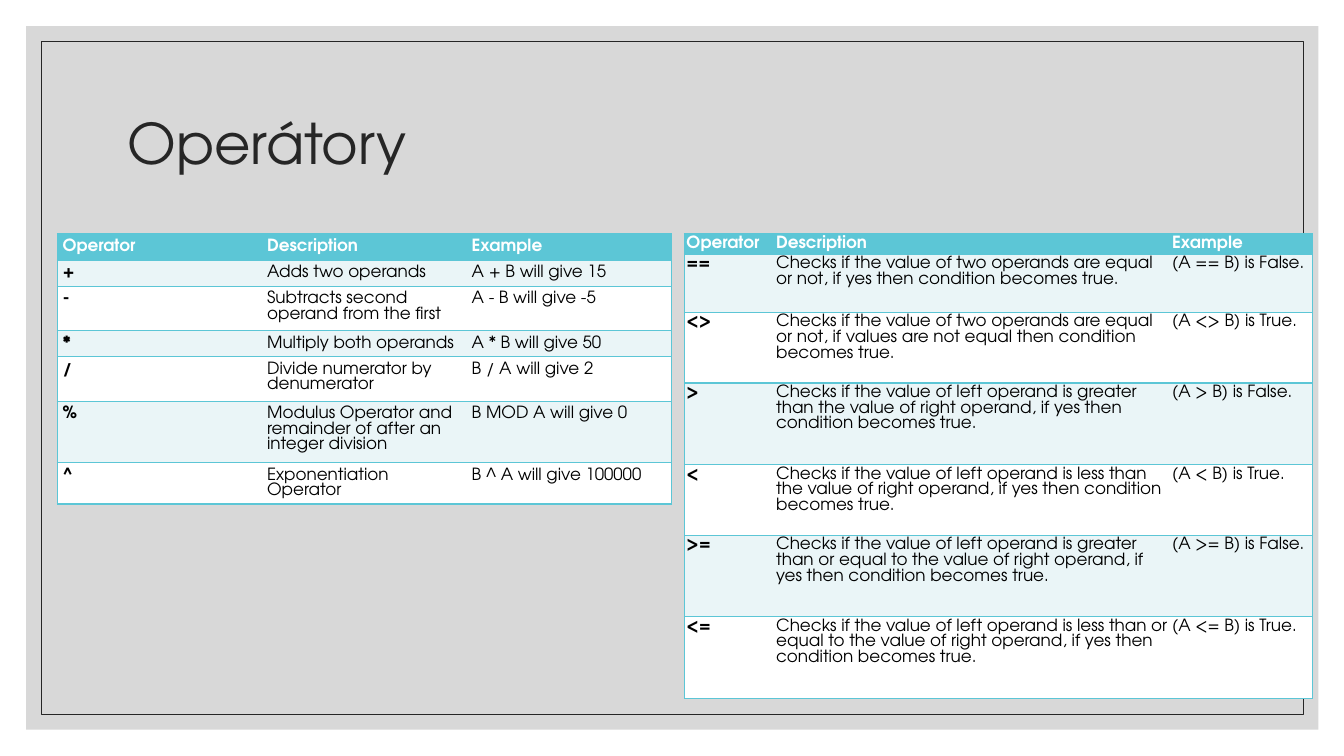
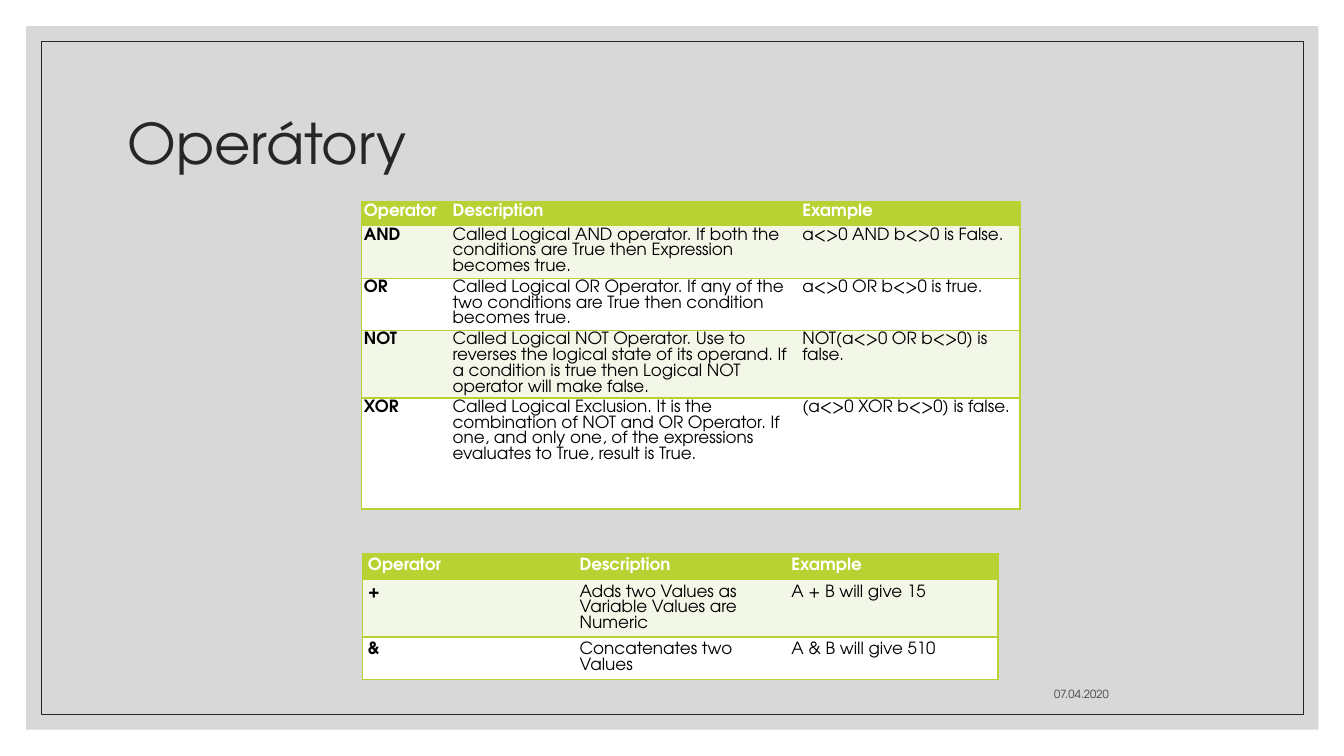
from dataclasses import dataclass
from lxml.etree import SubElement
from pptx import Presentation
from pptx.dml.color import RGBColor
from pptx.enum.shapes import MSO_SHAPE
from pptx.enum.text import MSO_ANCHOR, PP_ALIGN
from pptx.oxml.ns import qn
from pptx.util import Inches, Pt


@dataclass(frozen=True)
class Theme:
    font: str = "TeX Gyre Adventor"
    panel: str = "BFBFBF"
    ink: str = "262626"
    muted: str = "404040"
    black: str = "000000"
    white: str = "FFFFFF"
    aqua: tuple = ("5CC6D6", "EAF5F7")
    lime: tuple = ("B8D233", "F3F7E8")
    title: int = 40
    body: int = 12
    pitch: float = 11.2
    small: int = 8


THEME = Theme()
TITLE = "Operátory"
HEAD = ("Operator", "Description", "Example")

MATH = {
    "at": (0.57, 2.32), "inset": 0.05, "tint": THEME.aqua,
    "cols": (2.03, 2.03, 2.03),
    "rows": (0.26, 0.26, 0.44, 0.26, 0.44, 0.61, 0.41),
    "data": [
        ("+", "Adds two operands", "A + B will give 15"),
        ("-", "Subtracts second operand from the first", "A - B will give -5"),
        ("*", "Multiply both operands", "A * B will give 50"),
        ("/", "Divide numerator by denumerator", "B / A will give 2"),
        ("%", "Modulus Operator and remainder of after an integer division", "B MOD A will give 0"),
        ("^", "Exponentiation Operator", "B ^ A will give 100000"),
    ],
}
COMPARE = {
    "at": (6.79, 2.32), "inset": 0.02, "tint": THEME.aqua,
    "cols": (0.89, 3.93, 1.41),
    "rows": (0.2, 0.58, 0.7, 0.81, 0.7, 0.81, 0.81),
    "data": [
        ("==", "Checks if the value of two operands are equal or not, if yes then condition becomes true.",
         "(A == B) is False."),
        ("<>", "Checks if the value of two operands are equal or not, if values are not equal then "
         "condition becomes true.", "(A <> B) is True."),
        (">", "Checks if the value of left operand is greater than the value of right operand, if yes "
         "then condition becomes true.", "(A > B) is False."),
        ("<", "Checks if the value of left operand is less than the value of right operand, if yes "
         "then condition becomes true.", "(A < B) is True."),
        (">=", "Checks if the value of left operand is greater than or equal to the value of right "
         "operand, if yes then condition becomes true.", "(A >= B) is False."),
        ("<=", "Checks if the value of left operand is less than or equal to the value of right "
         "operand, if yes then condition becomes true.", "(A <= B) is True."),
    ],
}
LOGIC = {
    "at": (3.59, 2), "inset": 0.02, "tint": THEME.lime,
    "cols": (0.88, 3.47, 2.18),
    "rows": (0.24, 0.52, 0.52, 0.67, 1.1),
    "data": [
        ("AND", "Called Logical AND operator. If both the conditions are True then Expression becomes true.",
         "a<>0 AND b<>0 is False."),
        ("OR", "Called Logical OR Operator. If any of the two conditions are True then condition becomes true.",
         "a<>0 OR b<>0 is true."),
        ("NOT", "Called Logical NOT Operator. Use to reverses the logical state of its operand. If a "
         "condition is true then Logical NOT operator will make false.", "NOT(a<>0 OR b<>0) is false."),
        ("XOR", "Called Logical Exclusion. It is the combination of NOT and OR Operator. If one, and only "
         "one, of the expressions evaluates to True, result is True.", "(a<>0 XOR b<>0) is false."),
    ],
}
CONCAT = {
    "at": (3.6, 5.49), "inset": 0.05, "tint": THEME.lime,
    "cols": (2.1, 2.1, 2.1),
    "rows": (0.26, 0.57, 0.42),
    "data": [
        ("+", "Adds two Values as Variable Values are Numeric", "A + B will give 15"),
        ("&", "Concatenates two Values", "A & B will give 510"),
    ],
}
SLIDES = [
    {"tables": (MATH, COMPARE), "date": None},
    {"tables": (LOGIC, CONCAT), "date": "07.04.2020"},
]


def color(code):
    return RGBColor.from_string(code)


def style(para, size, code, bold=False):
    for run in para.runs:
        font = run.font
        font.name, font.size, font.bold = THEME.font, Pt(size), bold
        font.color.rgb = color(code)


def label(slide, box, text, size, code, anchor):
    frame = slide.shapes.add_textbox(*map(Inches, box)).text_frame
    frame.word_wrap = True
    frame.vertical_anchor = anchor
    para = frame.paragraphs[0]
    para.text = text
    style(para, size, code)
    return para


def panel(slide, edge):
    box = (edge, edge, 13.34 - 2 * edge, 7.5 - 2 * edge)
    shape = slide.shapes.add_shape(MSO_SHAPE.RECTANGLE, *map(Inches, box))
    shape.shadow.inherit = False
    return shape


def frame(slide):
    back = panel(slide, 0.26)
    back.fill.solid()
    back.fill.fore_color.rgb = color(THEME.panel)
    back.line.fill.background()
    tone = back.fill._xPr.find(qn("a:solidFill"))[0]
    SubElement(tone, qn("a:alpha"), val="60000")
    rim = panel(slide, 0.41)
    rim.fill.background()
    rim.line.color.rgb = color(THEME.ink)
    rim.line.width = Pt(0.5)
    para = label(slide, (1.17, 0.7, 11, 1.5), TITLE, THEME.title, THEME.ink, MSO_ANCHOR.MIDDLE)
    para.line_spacing = 0.9


def border(cell, sides, code):
    props = cell._tc.get_or_add_tcPr()
    for side in "LRTB":
        line = SubElement(props, qn("a:ln" + side), w=str(Pt(1)))
        if side in sides:
            fill = SubElement(line, qn("a:solidFill"))
            SubElement(fill, qn("a:srgbClr"), val=code)
        else:
            SubElement(line, qn("a:noFill"))


def grid(slide, spec):
    cols, rows = spec["cols"], spec["rows"]
    main, pale = spec["tint"]
    box = (*spec["at"], sum(cols), sum(rows))
    table = slide.shapes.add_table(len(rows), len(cols), *map(Inches, box)).table
    table.first_row = table.horz_banding = False
    for col, width in zip(table.columns, cols):
        col.width = Inches(width)
    for row, high in zip(table.rows, rows):
        row.height = Inches(high)
    for r, texts in enumerate([HEAD, *spec["data"]]):
        back = main if r == 0 else pale if r % 2 else THEME.white
        for c, text in enumerate(texts):
            cell = table.cell(r, c)
            pad = Inches(spec["inset"])
            cell.margin_left = cell.margin_right = pad
            cell.margin_top = cell.margin_bottom = pad
            border(cell, "TB" + {0: "L", len(cols) - 1: "R"}.get(c, ""), main)
            cell.fill.solid()
            cell.fill.fore_color.rgb = color(back)
            para = cell.text_frame.paragraphs[0]
            para.text = text
            para.line_spacing = Pt(THEME.pitch)
            style(para, THEME.body, THEME.black if r else THEME.white, r == 0 or c == 0)


def main():
    deck = Presentation()
    deck.slide_width, deck.slide_height = Inches(40) // 3, Inches(7.5)
    for page in SLIDES:
        slide = deck.slides.add_slide(deck.slide_layouts[6])
        frame(slide)
        if page["date"]:
            para = label(slide, (7.94, 6.6, 3.16, 0.4), page["date"],
                         THEME.small, THEME.muted, MSO_ANCHOR.BOTTOM)
            para.alignment = PP_ALIGN.RIGHT
        for spec in page["tables"]:
            grid(slide, spec)
    deck.save("out.pptx")


if __name__ == "__main__":
    main()
